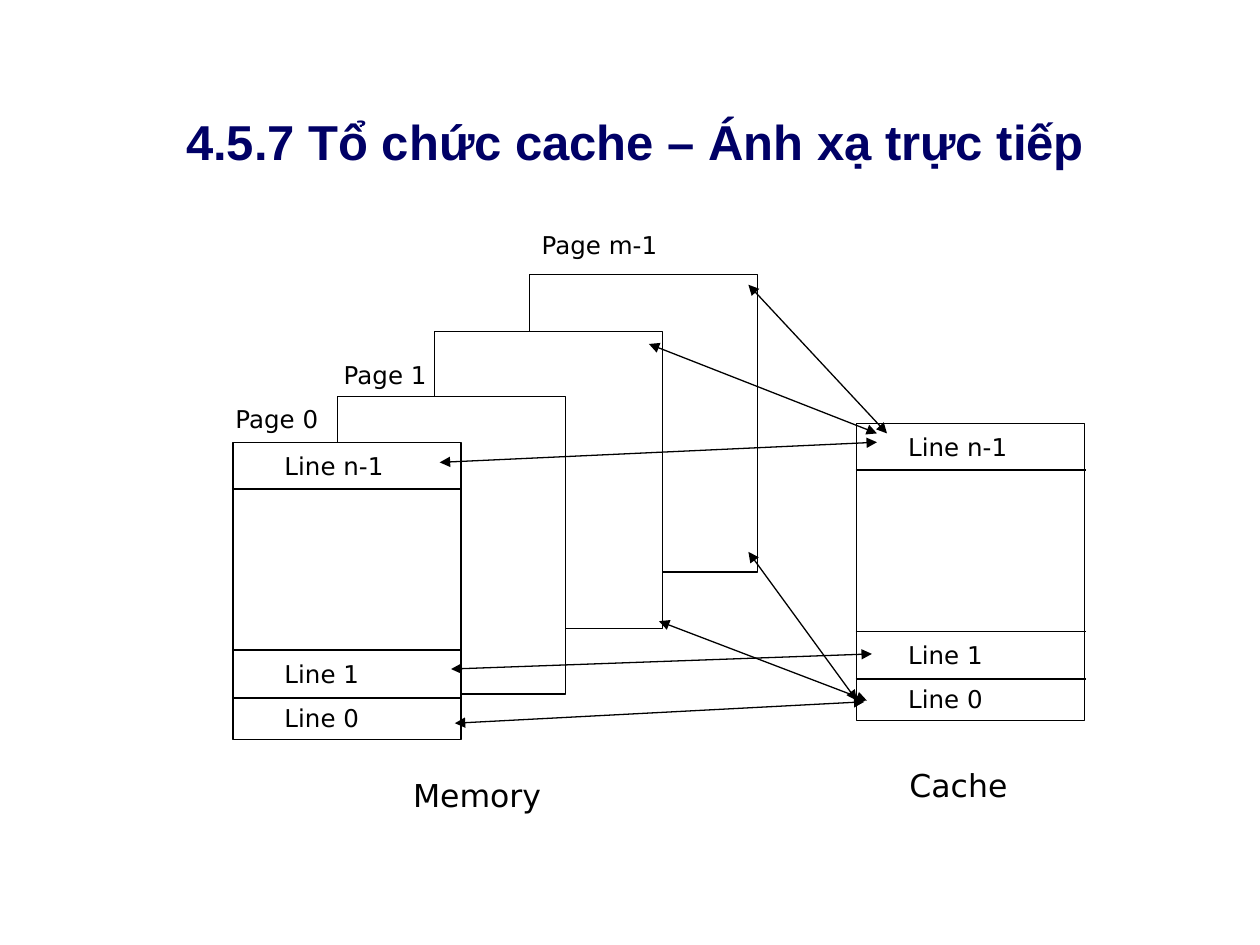
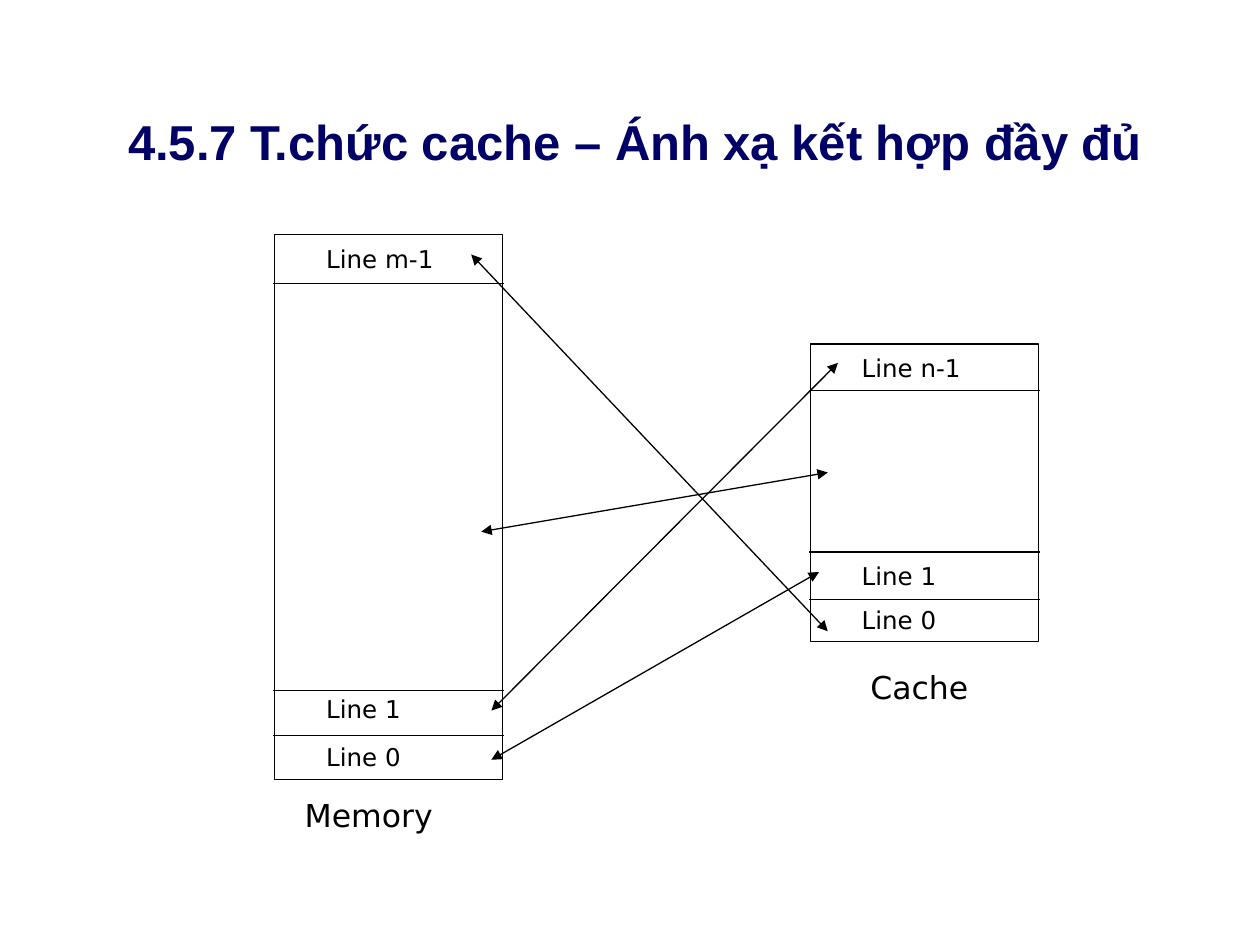
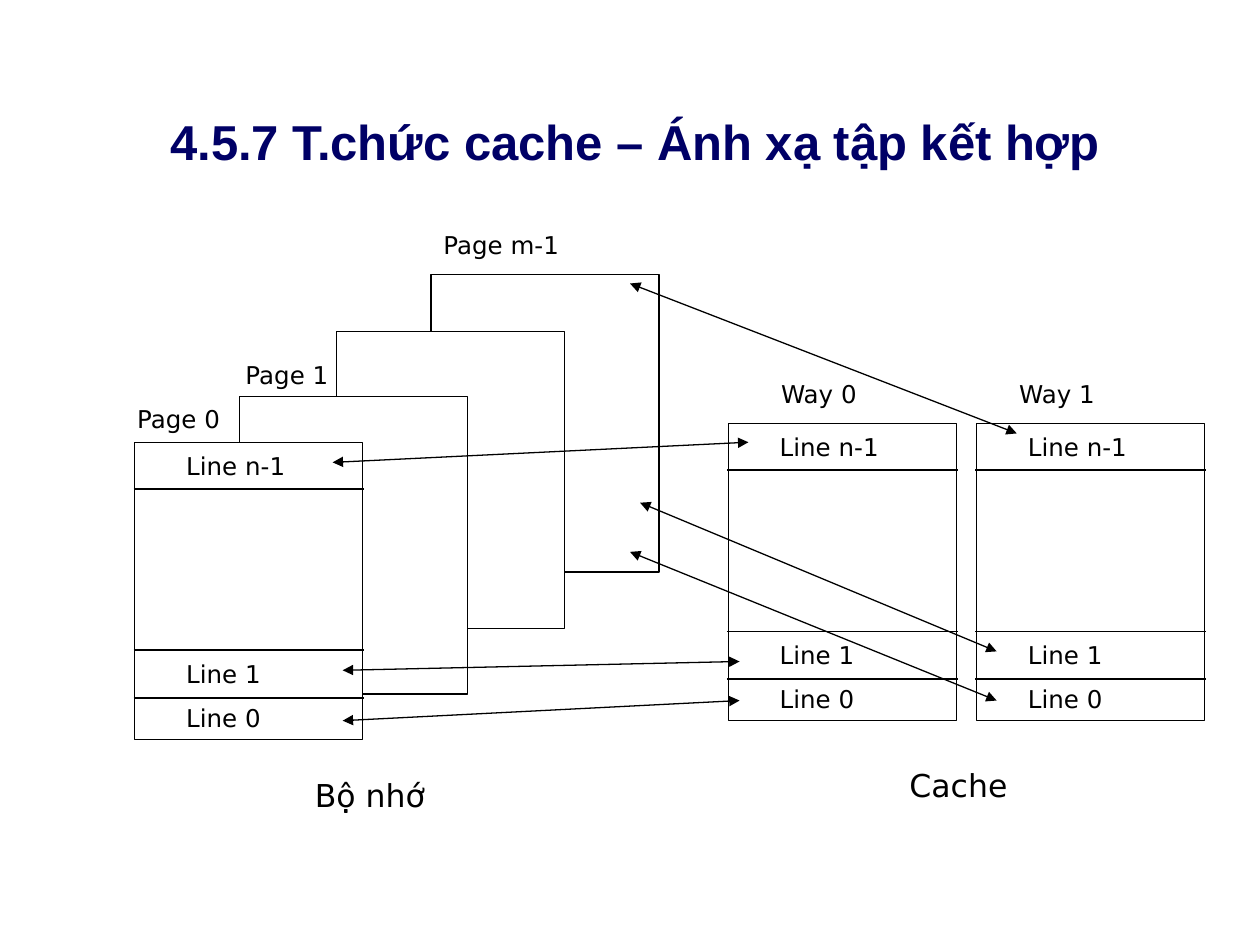
from dataclasses import dataclass

from pptx import Presentation
from pptx.dml.color import RGBColor as RGB
from pptx.enum.shapes import MSO_CONNECTOR as CONN, MSO_SHAPE as SHAPE
from pptx.enum.text import MSO_ANCHOR as ANCHOR, MSO_AUTO_SIZE as AUTO, PP_ALIGN as ALIGN
from pptx.oxml.ns import qn
from pptx.util import Inches, Pt


@dataclass(frozen=True)
class Theme:
    """Colours, fonts and type sizes shared by the slides."""
    ink: RGB = RGB(0, 0, 0)
    paper: RGB = RGB(255, 255, 255)
    navy: RGB = RGB(0, 0, 0x66)
    title_font: str = "Arial"
    body_font: str = "DejaVu Sans"
    title_size: int = 28
    label_size: int = 14
    caption_size: int = 18
    line_width: float = 0.75


T = Theme()
BLOCK_W, BLOCK_H, TALL_H = 1.81, 2.36, 4.33
OVERHANG = 0.01
SHORT_ROWS = ((0.37, 1.65, 2.03), (0.02, 1.67, 2.02))
TALL_ROWS = ((0.39, 3.62, 3.98), (0.03, 3.6, 3.98))
LINE_NAMES = ("Line n-1", "Line 1", "Line 0")
BACK_PAGES = ((2.35, -1.33), (1.6, -0.88), (0.83, -0.36))
PAGE_LABELS = (("Page 0", -0.08, -0.35, 0.87), ("Page 1", 0.78, -0.7, 0.87),
               ("Page m-1", 2.35, -1.73, 1.18))


def style_run(r, font, size, color, bold=False):
    """Format one run."""
    r.font.name, r.font.size, r.font.bold = font, Pt(size), bold
    r.font.color.rgb = color


def add_titled_slide(prs, title):
    """Add a title-only slide with the shared title style."""
    s = prs.slides.add_slide(prs.slide_layouts[5])
    sp = s.shapes.title
    sp.left, sp.top, sp.width, sp.height = map(Inches, (0.25, 0.83, 9.58, 0.57))
    tf = sp.text_frame
    tf.text = title
    tf.auto_size = AUTO.NONE
    tf.vertical_anchor = ANCHOR.MIDDLE
    p = tf.paragraphs[0]
    p.alignment = ALIGN.CENTER
    style_run(p.runs[0], T.title_font, T.title_size, T.navy, True)
    return s


def add_label(s, text, x, y, w, size=T.label_size):
    """Add a line of text whose box height follows its size."""
    h = 0.33 if size == T.label_size else 0.4
    tf = s.shapes.add_textbox(*map(Inches, (x, y, w, h))).text_frame
    tf.word_wrap = True
    tf.auto_size = AUTO.SHAPE_TO_FIT_TEXT
    tf.text = text
    style_run(tf.paragraphs[0].runs[0], T.body_font, size, T.ink)


def add_caption(s, text, x, y, w):
    """Name a whole memory or cache."""
    add_label(s, text, x, y, w, T.caption_size)


def add_box(s, x, y, h=BLOCK_H):
    """Add an outlined white page."""
    sp = s.shapes.add_shape(SHAPE.RECTANGLE, *map(Inches, (x, y, BLOCK_W, h)))
    sp.shadow.inherit = False
    sp.fill.solid()
    sp.fill.fore_color.rgb = T.paper
    sp.line.color.rgb = T.ink
    sp.line.width = Pt(T.line_width)


def add_line(s, x1, y1, x2, y2, arrows=False):
    """Add a straight line, optionally with an arrowhead at both ends."""
    c = s.shapes.add_connector(CONN.STRAIGHT, *map(Inches, (x1, y1, x2, y2)))
    c.line.color.rgb = T.ink
    c.line.width = Pt(T.line_width)
    sp_pr = c._element.spPr
    if arrows:
        ln = sp_pr.find(qn("a:ln"))
        for tag in ("a:headEnd", "a:tailEnd"):
            end = ln.makeelement(qn(tag), {"type": "triangle"})
            ln.append(end)
    sp_pr.append(sp_pr.makeelement(qn("a:effectLst"), {}))


def add_block(s, x, y, names=LINE_NAMES, h=BLOCK_H, rows=SHORT_ROWS):
    """Add a box divided into named lines."""
    dividers, labels = rows
    add_box(s, x, y, h)
    for dy in dividers:
        add_line(s, x - OVERHANG, y + dy, x + BLOCK_W + OVERHANG, y + dy)
    for name, dy in zip(names, labels):
        add_label(s, name, x + 0.31, y + dy, 1.26)


def add_paged_memory(s, x, y, caption):
    """Add a stack of pages with page 0 in front at x, y."""
    for dx, dy in BACK_PAGES:
        add_box(s, x + dx, y + dy)
    add_block(s, x, y)
    for name, dx, dy, w in PAGE_LABELS:
        add_label(s, name, x + dx, y + dy, w)
    add_caption(s, caption, x + 1.33, y + 2.6, 1.32)


def add_mappings(s, mappings):
    """Join memory lines to cache lines with double arrows."""
    for ends in mappings:
        add_line(s, *ends, arrows=True)


def build_direct(prs):
    """Build the direct mapping slide."""
    s = add_titled_slide(prs, "4.5.7 Tổ chức cache – Ánh xạ trực tiếp")
    add_paged_memory(s, 1.85, 3.51, "Memory")
    add_block(s, 6.8, 3.36)
    add_caption(s, "Cache", 7.12, 6.03, 1)
    add_mappings(s, (
        (3.61, 5.74, 6.86, 5.57), (3.58, 5.31, 6.92, 5.19),
        (3.49, 3.67, 6.96, 3.51), (5.94, 2.26, 7.04, 3.44),
        (5.15, 2.73, 6.96, 3.44), (5.94, 4.38, 6.8, 5.56),
        (5.23, 4.93, 6.88, 5.56)))


def build_associative(prs):
    """Build the fully associative mapping slide."""
    s = add_titled_slide(prs, "4.5.7 T.chức cache – Ánh xạ kết hợp đầy đủ")
    add_block(s, 6.43, 2.73)
    add_caption(s, "Cache", 6.81, 5.25, 1)
    add_block(s, 2.18, 1.86, ("Line m-1",) + LINE_NAMES[1:], TALL_H, TALL_ROWS)
    add_caption(s, "Memory", 2.32, 6.27, 1.32)
    add_mappings(s, (
        (3.9, 6.03, 6.5, 4.54), (3.9, 5.64, 6.65, 2.88),
        (3.74, 2.02, 6.57, 5.01), (3.82, 4.22, 6.57, 3.75)))


def build_set_associative(prs):
    """Build the set associative mapping slide."""
    s = add_titled_slide(prs, "4.5.7 T.chức cache – Ánh xạ tập kết hợp")
    add_paged_memory(s, 1.07, 3.51, "Bộ nhớ")
    for name, x, label_x in (("Way 0", 5.78, 6.1), ("Way 1", 7.75, 7.99)):
        add_block(s, x, 3.36)
        add_label(s, name, label_x, 2.96, 1.18)
    add_caption(s, "Cache", 7.12, 6.03, 1)
    add_mappings(s, (
        (2.72, 5.72, 5.87, 5.56), (2.72, 5.32, 5.87, 5.25),
        (2.64, 3.67, 5.94, 3.51), (5, 2.25, 8.07, 3.44),
        (5, 4.38, 7.91, 5.56), (5.08, 3.99, 7.91, 5.17)))


def main():
    """Build and save the presentation."""
    prs = Presentation()
    prs.slide_width, prs.slide_height = Inches(10), Inches(7.5)
    for build in (build_direct, build_associative, build_set_associative):
        build(prs)
    prs.save("out.pptx")


if __name__ == "__main__":
    main()
